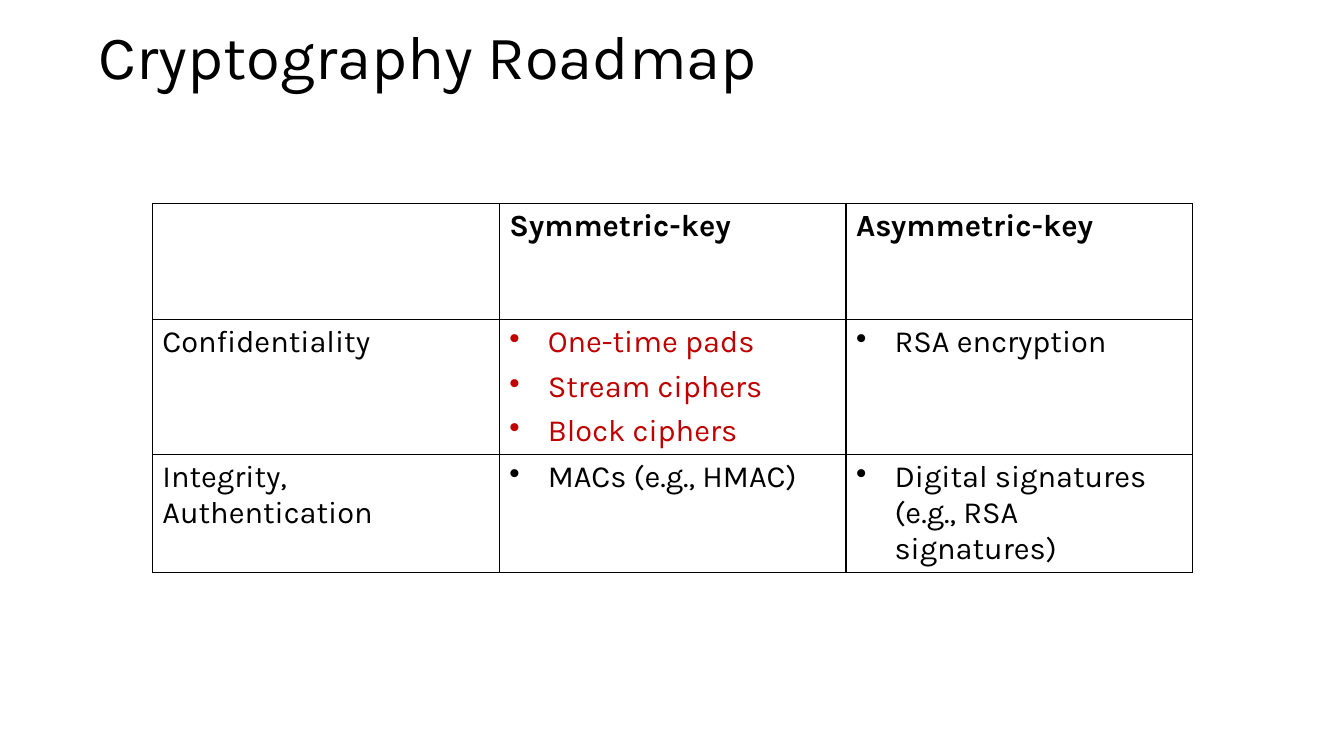
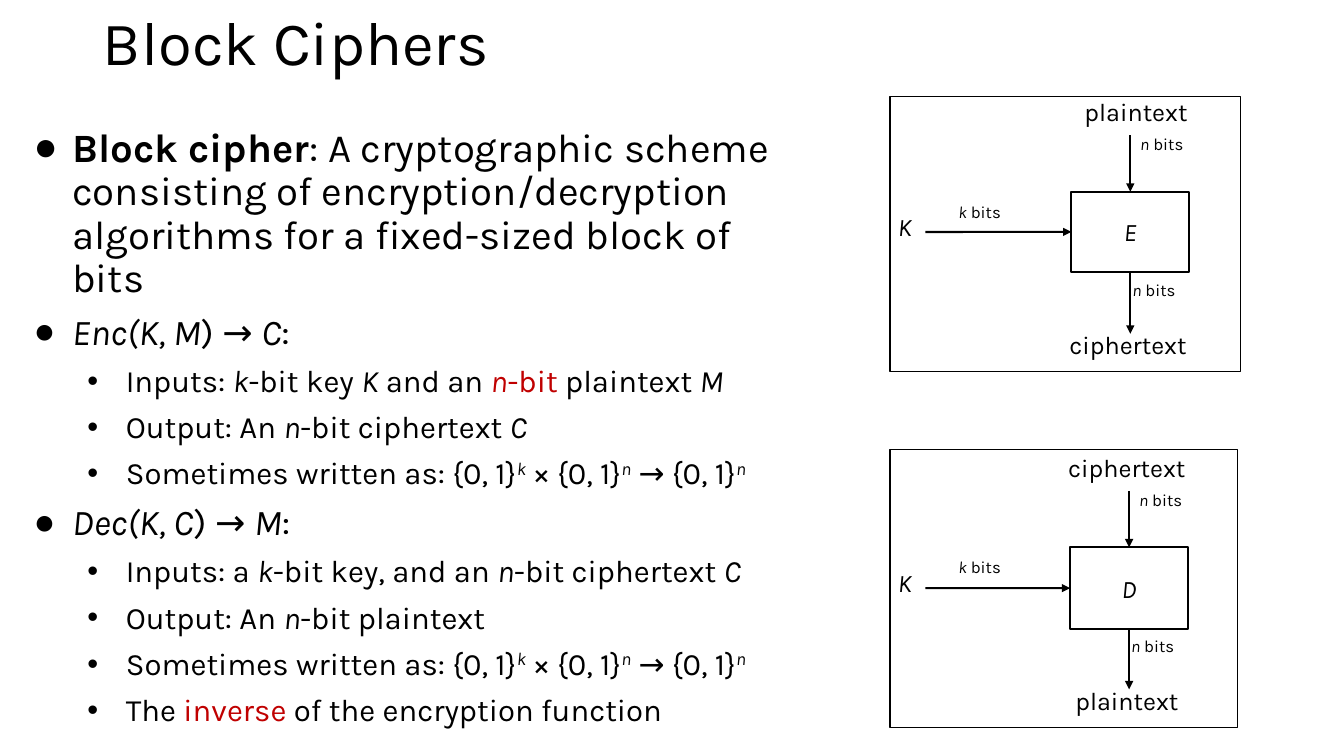
"""Build two cryptography slides: a roadmap table and the block cipher diagrams."""
from lxml.etree import SubElement
from pptx import Presentation
from pptx.dml.color import RGBColor
from pptx.enum.shapes import MSO_CONNECTOR, MSO_SHAPE
from pptx.enum.text import MSO_ANCHOR, MSO_AUTO_SIZE, PP_ALIGN
from pptx.oxml.ns import qn
from pptx.util import Cm, Pt

FONT = "Karla"
BLACK = "000000"
RED = "C00000"
WHITE = "FFFFFF"
HANGING = 0.97
INSET = Cm(0.25)
colour = RGBColor.from_string


def add_runs(paragraph, size, runs):
    for text, style in runs:
        run = paragraph.add_run()
        run.text = text
        run.font.name = FONT
        run.font.size = Pt(size)
        run.font.bold = "bold" in style
        run.font.italic = "italic" in style
        run.font.color.rgb = colour(RED if "red" in style else BLACK)
        if "super" in style:
            run._r.get_or_add_rPr().set("baseline", "30000")


def set_bullet(paragraph, character, margin):
    properties = paragraph._p.get_or_add_pPr()
    properties.set("marL", str(Cm(margin)))
    properties.set("indent", str(-Cm(HANGING)))
    SubElement(properties, qn("a:buChar")).set("char", character)


presentation = Presentation()
presentation.slide_width = Cm(33.87)
presentation.slide_height = Cm(19.05)
background = presentation.slide_master.background.fill
background.solid()
background.fore_color.rgb = colour(WHITE)

slides = []
for layout, text, left, top, width, height in [
    (5, "Cryptography Roadmap", 2.24, 0.53, 31.06, 2.06),
    (1, "Block Ciphers", 2.34, 0.18, 29.21, 2.49),
]:
    slide = presentation.slides.add_slide(presentation.slide_layouts[layout])
    title = slide.shapes.title
    title.left, title.top = Cm(left), Cm(top)
    title.width, title.height = Cm(width), Cm(height)
    frame = title.text_frame
    frame.auto_size = MSO_AUTO_SIZE.NONE
    frame.vertical_anchor = MSO_ANCHOR.TOP
    paragraph = frame.paragraphs[0]
    paragraph.alignment = PP_ALIGN.LEFT
    paragraph.line_spacing = 0.9
    add_runs(paragraph, 44, [(text, "")])
    slides.append(slide)
roadmap_slide, cipher_slide = slides

roadmap = [
    [("", []), ("bold", ["Symmetric-key"]), ("bold", ["Asymmetric-key"])],
    [
        ("", ["Confidentiality"]),
        ("bullet red", ["One-time pads", "Stream ciphers", "Block ciphers"]),
        ("bullet", ["RSA encryption"]),
    ],
    [
        ("", ["Integrity,", "Authentication"]),
        ("bullet", ["MACs (e.g., HMAC)"]),
        ("bullet", ["Digital signatures (e.g., RSA signatures)"]),
    ],
]
row_heights = [2.92, 3.4, 2.97]
table = roadmap_slide.shapes.add_table(
    3, 3, Cm(3.84), Cm(5.13), Cm(26.22), Cm(sum(row_heights))
).table
table.first_row = False
table.horz_banding = False
for row, height in zip(table.rows, row_heights):
    row.height = Cm(height)
for row_index, cells in enumerate(roadmap):
    for column_index, (style, lines) in enumerate(cells):
        cell = table.cell(row_index, column_index)
        cell_properties = cell._tc.get_or_add_tcPr()
        for side in ("a:lnL", "a:lnR", "a:lnT", "a:lnB"):
            border = SubElement(cell_properties, qn(side))
            border.set("w", str(Pt(1)))
            border_fill = SubElement(border, qn("a:solidFill"))
            SubElement(border_fill, qn("a:srgbClr")).set("val", BLACK)
        cell.fill.background()
        frame = cell.text_frame
        for index, line in enumerate(lines):
            paragraph = frame.add_paragraph() if index else frame.paragraphs[0]
            if "bullet" in style:
                paragraph.space_after = Pt(6 if len(lines) > 1 else 0)
                set_bullet(paragraph, "•", HANGING)
            add_runs(paragraph, 22, [(line, style)])

mapping = [
    ("Sometimes written as: {0, 1}", ""),
    ("k", "italic super"),
    (" × {0, 1}", ""),
    ("n", "italic super"),
    (" → {0, 1}", ""),
    ("n", "italic super"),
]
outline = [
    (0, 28.7, [
        ("Block cipher", "bold"),
        (": A cryptographic scheme consisting of encryption/decryption "
         "algorithms for a fixed-sized block of bits", ""),
    ]),
    (0, 25.9, [("Enc(K, M", "italic"), (") → ", ""), ("C", "italic"), (":", "")]),
    (1, 22.2, [
        ("Inputs: ", ""), ("k", "italic"), ("-bit key ", ""), ("K", "italic"),
        (" and an ", ""), ("n", "italic red"), ("-bit", "red"),
        (" plaintext ", ""), ("M", "italic"),
    ]),
    (1, 22.2, [
        ("Output: An ", ""), ("n", "italic"), ("-bit ciphertext ", ""), ("C", "italic"),
    ]),
    (1, 22.2, mapping),
    (0, 25.9, [("Dec(K, C", "italic"), (") → ", ""), ("M", "italic"), (":", "")]),
    (1, 22.2, [
        ("Inputs: a ", ""), ("k", "italic"), ("-bit key, and an ", ""),
        ("n", "italic"), ("-bit ciphertext ", ""), ("C", "italic"),
    ]),
    (1, 22.2, [("Output: An ", ""), ("n", "italic"), ("-bit plaintext", "")]),
    (1, 22.2, mapping),
    (1, 22.2, [("The ", ""), ("inverse", "red"), (" of the encryption function", "")]),
]
body = cipher_slide.placeholders[1]
body.left, body.top = Cm(0.3), Cm(2.97)
body.width, body.height = Cm(19.84), Cm(15.27)
frame = body.text_frame
frame.auto_size = MSO_AUTO_SIZE.NONE
frame.vertical_anchor = MSO_ANCHOR.TOP
frame.margin_left = frame.margin_right = INSET
frame.margin_top = frame.margin_bottom = INSET
for index, (level, size, runs) in enumerate(outline):
    paragraph = frame.add_paragraph() if index else frame.paragraphs[0]
    paragraph.level = level
    paragraph.line_spacing = 0.9
    paragraph.space_before = Pt(0)
    paragraph.space_after = Pt(9)
    set_bullet(paragraph, "●•"[level], [1.27, 2.62][level])
    add_runs(paragraph, size, runs)

panel_left = 22.43
box_width = 2.97
for letter, panel, box_left, box_top, box_height, source, result in [
    ("E", (2.44, 8.84, 6.93), 27.0, 4.83, 2.03, ("plaintext", 27.08), ("ciphertext", 26.7)),
    ("D", (11.33, 8.76, 7.01), 26.97, 13.79, 2.06, ("ciphertext", 26.67), ("plaintext", 26.85)),
]:
    shapes = cipher_slide.shapes.add_group_shape().shapes
    panel_top, panel_width, panel_height = panel
    for left, top, width, height, weight in [
        (panel_left, panel_top, panel_width, panel_height, 0.75),
        (box_left, box_top, box_width, box_height, 1.5),
    ]:
        box = shapes.add_shape(
            MSO_SHAPE.RECTANGLE, Cm(left), Cm(top), Cm(width), Cm(height)
        )
        box.shadow.inherit = False
        box.fill.background()
        box.line.color.rgb = colour(BLACK)
        box.line.width = Pt(weight)
    box.text_frame.vertical_anchor = MSO_ANCHOR.MIDDLE
    paragraph = box.text_frame.paragraphs[0]
    paragraph.alignment = PP_ALIGN.CENTER
    add_runs(paragraph, 18, [(letter, "italic")])

    center = box_left + box_width / 2
    middle = box_top + box_height / 2
    bottom = box_top + box_height
    for start, end, begin_side, end_side in [
        ((23.32, middle), (box_left, middle), None, 1),
        ((center, box_top - 1.42), (center, box_top), None, 0),
        ((center, bottom), (center, box_top + 3.58), 2, None),
    ]:
        arrow = shapes.add_connector(
            MSO_CONNECTOR.STRAIGHT, Cm(start[0]), Cm(start[1]), Cm(end[0]), Cm(end[1])
        )
        if begin_side is not None:
            arrow.begin_connect(box, begin_side)
        if end_side is not None:
            arrow.end_connect(box, end_side)
        arrow.line.color.rgb = colour(BLACK)
        arrow.line.width = Pt(1.5)
        shape_properties = arrow._element.spPr
        line = shape_properties.get_or_add_ln()
        SubElement(line, qn("a:tailEnd")).set("type", "triangle")
        SubElement(shape_properties, qn("a:effectLst"))

    block_size = [("n", "italic"), (" bits", "")]
    for left, top, width, height, size, runs in [
        (22.38, box_top + 0.25, 1.17, 1.5, 18, [("K", "italic")]),
        (23.9, box_top, 2.51, 1.4, 12, [("k", "italic"), (" bits", "")]),
        (center, box_top - 1.7, 2.51, 1.4, 12, block_size),
        (center - 0.2, box_top + 1.98, 2.51, 1.4, 12, block_size),
        (source[1], box_top - 2.65, 4.4, 1.75, 18, [(source[0], "")]),
        (result[1], box_top + 3.23, 4.4, 1.75, 18, [(result[0], "")]),
    ]:
        label = shapes.add_textbox(Cm(left), Cm(top), Cm(width), Cm(height))
        frame = label.text_frame
        frame.word_wrap = True
        frame.margin_left = frame.margin_right = INSET
        frame.margin_top = frame.margin_bottom = INSET
        add_runs(frame.paragraphs[0], size, runs)

presentation.save("out.pptx")
